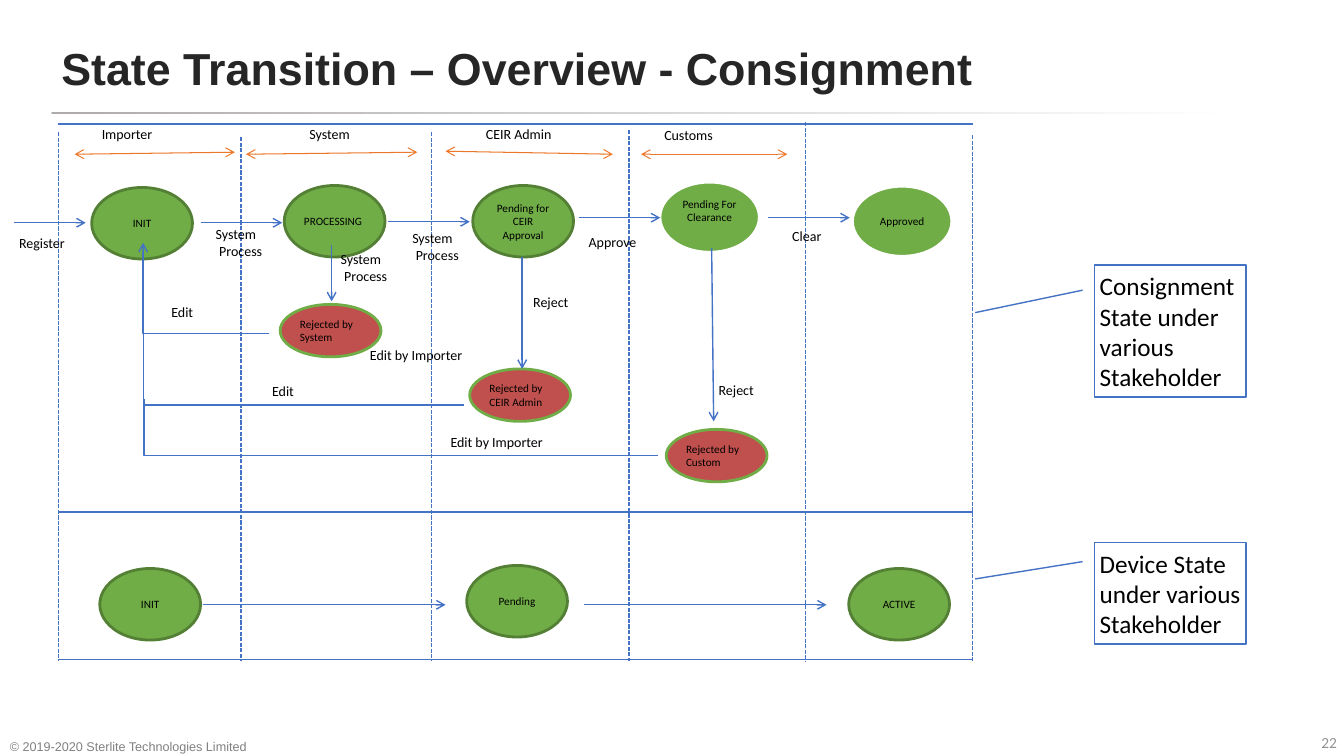
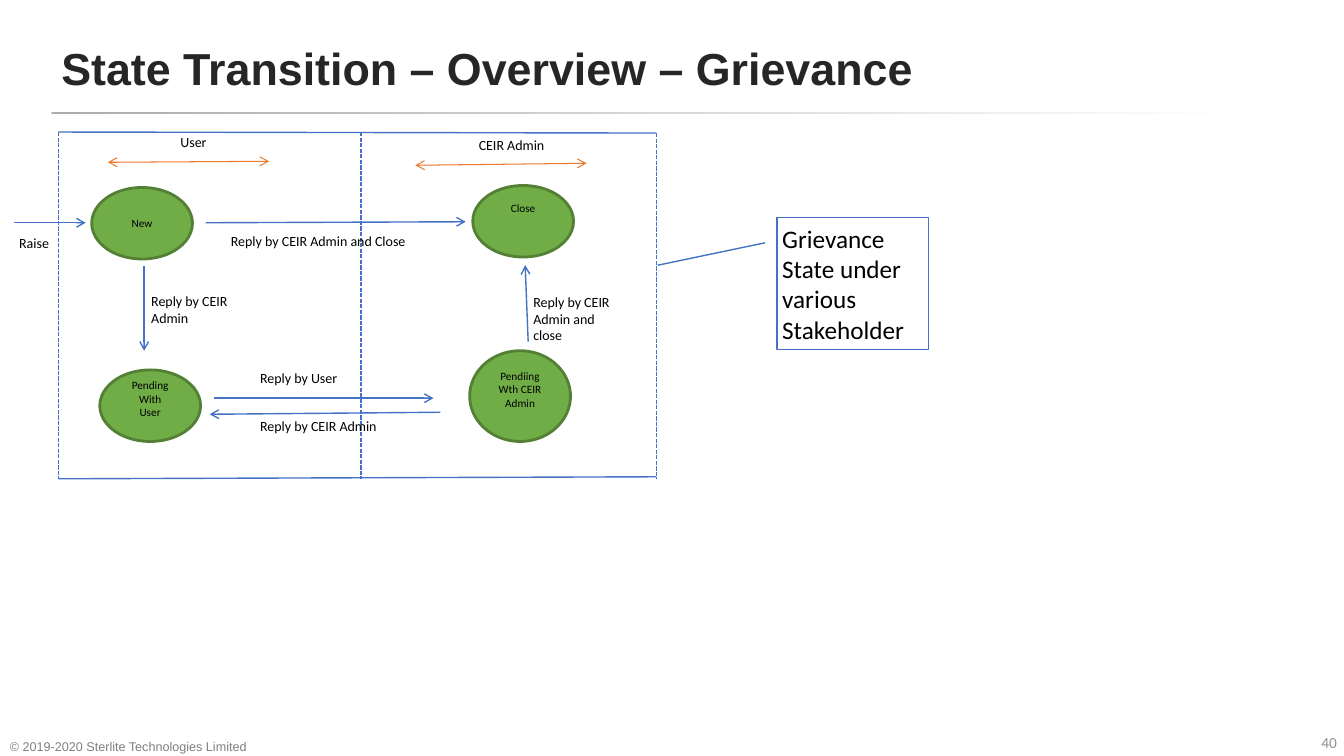
"""Build two state transition slides on a grid of tenth-inch cells."""
from dataclasses import dataclass
from typing import Any

import pptx
import pptx.dml.color
import pptx.enum.dml
import pptx.enum.shapes
import pptx.enum.text
import pptx.oxml.ns
import pptx.shapes.autoshape
import pptx.slide
import pptx.text.text
import pptx.util
from lxml import etree

COLUMNS, ROWS = 133.33, 75
GREEN, DARK_GREEN, RED = "70AD47", "538035", "C0504D"
BLUE, ORANGE = "4472C4", "EC792B"
WHITE, BLACK, TITLE_GREY, FOOTER_GREY, NUMBER_GREY, RULE_GREY = (
    "FFFFFF", "000000", "262626", "808080", "929292", "AFABAB")
FOOTER = "© 2019-2020 Sterlite Technologies Limited"
SHAPE = pptx.enum.shapes.MSO_SHAPE
CONNECTOR = pptx.enum.shapes.MSO_CONNECTOR
ALIGN = pptx.enum.text.PP_ALIGN
ANCHOR = pptx.enum.text.MSO_ANCHOR


@dataclass(frozen=True)
class Style:
    size: float
    colour: str = BLACK
    font: str = "Calibri"
    bold: bool = False
    align: Any = ALIGN.LEFT
    anchor: Any = ANCHOR.TOP
    insets: tuple[float, float, float, float] = (0.5, 0.5, 0.5, 0.5)


@dataclass(frozen=True)
class Stroke:
    colour: str = BLUE
    width: float = 1
    dashed: bool = False
    ends: tuple[str, ...] = ()


@dataclass(frozen=True)
class Edge:
    x1: float
    y1: float
    x2: float
    y2: float
    stroke: Stroke
    bend: float | None = None


@dataclass(frozen=True)
class State:
    text: str
    left: float
    top: float
    height: float = 7.1
    fill: str = GREEN
    outline: str = DARK_GREEN
    weight: float = 2
    align: Any = ALIGN.CENTER
    lift: float = 0


@dataclass(frozen=True)
class Label:
    text: str
    left: float
    top: float
    width: float = 12.6
    align: Any = ALIGN.LEFT


@dataclass(frozen=True)
class Callout:
    text: str
    left: float
    top: float
    height: float


@dataclass(frozen=True)
class Diagram:
    title: str
    number: str
    states: list[State]
    edges: list[Edge]
    labels: list[Label]
    callouts: list[Callout]


PLAIN, DASHED = Stroke(), Stroke(dashed=True)
FLOW = Stroke(ends=("tailEnd",))
SPAN = Stroke(ORANGE, 0.75, ends=("headEnd", "tailEnd"))
TITLE = Style(32, TITLE_GREY, "Arial", True, anchor=ANCHOR.MIDDLE, insets=(1, 0.5, 1, 0.5))
FOOT = Style(9, FOOTER_GREY, "Arial", anchor=ANCHOR.BOTTOM, insets=(1, 0, 1, 0.2))
NUMBER = Style(11, NUMBER_GREY, align=ALIGN.RIGHT)
CALLOUT = Style(18, anchor=ANCHOR.MIDDLE)


def cells(count: float) -> int:
    return pptx.util.Inches(count / 10)


def colour(code: str) -> pptx.dml.color.RGBColor:
    return pptx.dml.color.RGBColor.from_string(code)


def assign(target: Any, values: dict[str, Any]) -> None:
    for name, value in values.items():
        setattr(target, name, value)


def write(frame: pptx.text.text.TextFrame, text: str, style: Style) -> None:
    left, top, right, bottom = map(cells, style.insets)
    assign(frame, {"word_wrap": True, "vertical_anchor": style.anchor,
                   "margin_left": left, "margin_top": top,
                   "margin_right": right, "margin_bottom": bottom})
    for index, line in enumerate(text.split("\n")):
        para = frame.add_paragraph() if index else frame.paragraphs[0]
        para.alignment = style.align
        if line == "Process":
            para._p.get_or_add_pPr().set("marL", str(cells(0.35)))
        span = para.add_run()
        span.text = line
        assign(span.font, {"size": pptx.util.Pt(style.size), "name": style.font,
                           "bold": style.bold})
        span.font.color.rgb = colour(style.colour)


def add_text(page: pptx.slide.Slide, text: str, left: float, top: float,
             width: float, height: float, style: Style) -> None:
    box = page.shapes.add_textbox(*map(cells, (left, top, width, height)))
    write(box.text_frame, text, style)


def add_box(page: pptx.slide.Slide, kind: Any, left: float, top: float, width: float,
            height: float, fill: str, outline: str,
            weight: float) -> pptx.shapes.autoshape.Shape:
    box = page.shapes.add_shape(kind, *map(cells, (left, top, width, height)))
    box.shadow.inherit = False
    box.fill.solid()
    box.fill.fore_color.rgb = colour(fill)
    box.line.color.rgb = colour(outline)
    box.line.width = pptx.util.Pt(weight)
    return box


def draw_state(page: pptx.slide.Slide, state: State) -> None:
    box = add_box(page, SHAPE.OVAL, state.left, state.top, 10, state.height,
                  state.fill, state.outline, state.weight)
    write(box.text_frame, state.text, Style(
        8, align=state.align, anchor=ANCHOR.MIDDLE, insets=(0.5, 0, 0.5, state.lift)))


def draw_edge(page: pptx.slide.Slide, edge: Edge) -> None:
    kind = CONNECTOR.STRAIGHT if edge.bend is None else CONNECTOR.ELBOW
    link = page.shapes.add_connector(
        kind, *map(cells, (edge.x1, edge.y1, edge.x2, edge.y2)))
    link.line.color.rgb = colour(edge.stroke.colour)
    link.line.width = pptx.util.Pt(edge.stroke.width)
    if edge.stroke.dashed:
        link.line.dash_style = pptx.enum.dml.MSO_LINE.SQUARE_DOT
    qn = pptx.oxml.ns.qn
    props = link.element.spPr
    for end in edge.stroke.ends:
        etree.SubElement(props.find(qn("a:ln")), qn(f"a:{end}"), type="arrow")
    etree.SubElement(props, qn("a:effectLst"))
    if edge.bend is not None:
        guides = props.find(qn("a:prstGeom")).find(qn("a:avLst"))
        etree.SubElement(guides, qn("a:gd"), name="adj1",
                         fmla=f"val {round(edge.bend * 100000)}")


def draw_callout(page: pptx.slide.Slide, note: Callout) -> None:
    box = add_box(page, SHAPE.LINE_CALLOUT_1, note.left, note.top, 15, note.height,
                  WHITE, BLUE, 1)
    for index, share in enumerate((0.19, -0.08, 0.36, -0.79)):
        box.adjustments[index] = share
    write(box.text_frame, note.text, CALLOUT)


def draw_frame(page: pptx.slide.Slide, title: str, number: str) -> None:
    rule = add_box(page, SHAPE.ROUNDED_RECTANGLE, 5.1, 11.1, 123.1, 0.25, RULE_GREY, WHITE, 0)
    rule.adjustments[0] = 0.5
    rule.line.fill.background()
    rule.fill.gradient()
    rule.fill.gradient_angle = 0
    for stop, code, position in zip(rule.fill.gradient_stops, (RULE_GREY, WHITE), (0, 0.96)):
        stop.color.rgb = colour(code)
        stop.position = position
    add_text(page, title, 5.1, 2.3, 99.2, 8.8, TITLE)
    add_text(page, number, COLUMNS - 5.2, 72.2, 5, 2.5, NUMBER)
    add_text(page, FOOTER, 0, 72.2, 30.3, ROWS - 72.2, FOOT)


def draw_diagram(page: pptx.slide.Slide, diagram: Diagram) -> None:
    draw_frame(page, diagram.title, diagram.number)
    for state in diagram.states:
        draw_state(page, state)
    for edge in diagram.edges:
        draw_edge(page, edge)
    for label in diagram.labels:
        add_text(page, label.text, label.left, label.top, label.width, 2.7,
                 Style(10, align=label.align))
    for note in diagram.callouts:
        draw_callout(page, note)


def lanes(bottom: float, tops: dict[float, float]) -> list[Edge]:
    return [Edge(x, top, x, bottom, DASHED) for x, top in tops.items()]


def flows(row: float, length: float, *starts: float) -> list[Edge]:
    return [Edge(x, row, x + length, row, FLOW) for x in starts]


def rejected(text: str, left: float, top: float) -> State:
    return State(text, left, top, 5.2, RED, GREEN, align=ALIGN.LEFT)


CONSIGNMENT = Diagram(
    "State Transition – Overview - Consignment", "22",
    [State("INIT", 9.1, 18.6),
     State("PROCESSING", 28.2, 18.4, align=ALIGN.LEFT),
     State("Pending for CEIR Approval", 46.9, 18.4),
     State("Pending For Clearance", 65.4, 18, outline=WHITE, weight=3, lift=1.36),
     State("Approved", 84.5, 18.4, outline=WHITE, weight=3),
     rejected("Rejected by System", 27.8, 30.2),
     rejected("Rejected by\nCEIR Admin", 46.6, 36.6),
     rejected("Rejected by\nCustom", 66.1, 42.6),
     State("INIT", 9.9, 56.4), State("Pending", 46.3, 56.1), State("ACTIVE", 84.2, 56.4)],
    lanes(65.6, {5.8: 13.1, 23.9: 13.6, 42.8: 13.1, 62.4: 12.9, 79.9: 12.1, 96.5: 13.4})
    + [Edge(5.8, row, 96.5, row, PLAIN) for row in (12.3, 50.8, 65.4)]
    + flows(22.1, 7.1, 1.4) + flows(22.1, 8.1, 19.9) + flows(22, 8.1, 38.5)
    + flows(21.6, 8.1, 57.4, 76.2) + flows(60, 24.1, 20.1, 57.9)
    + [Edge(32.9, 24.3, 32.9, 29.9, FLOW),
       Edge(51.8, 25.5, 51.8, 36.6, FLOW),
       Edge(70.6, 24.6, 70.8, 41.8, FLOW),
       Edge(26.7, 33.1, 14.2, 24.1, FLOW, 1),
       Edge(46, 40.2, 14.4, 33.1, PLAIN, 1.005),
       Edge(65.3, 45.2, 14.4, 39.7, PLAIN, 1.002),
       Edge(7.4, 15.3, 23.3, 15.1, SPAN), Edge(24.4, 15.3, 41.4, 15.1, SPAN),
       Edge(44.2, 15, 60.8, 15.3, SPAN), Edge(63.6, 15.3, 78.1, 15.3, SPAN)],
    [Label("Importer", 9.6, 12), Label("System", 30.2, 12),
     Label("CEIR Admin", 47.7, 12), Label("Customs", 65.4, 12.1),
     Label("Register", 1.4, 22.8), Label("System\nProcess", 20.9, 21.9),
     Label("System\nProcess", 33.3, 24.4), Label("System\nProcess", 40.4, 22.3),
     Label("Approve", 57.9, 22.7), Label("Clear", 78.1, 22.1),
     Label("Reject", 52.4, 28.6), Label("Reject", 70.8, 37.4),
     Label("Edit", 16.5, 29.6), Label("Edit", 26.5, 37.5),
     Label("Edit by Importer", 36.2, 33.9), Label("Edit by Importer", 44.2, 42.5)],
    [Callout("Consignment State under various Stakeholder", 108.6, 26.3, 13.1),
     Callout("Device State under various Stakeholder", 108.6, 53.8, 10.1)])

GRIEVANCE = Diagram(
    "State Transition – Overview – Grievance", "40",
    [State("New", 9.1, 18.6), State("Close", 46.9, 18.4, lift=2.7),
     State("Pendiing\nWth CEIR Admin", 46.6, 34.8, 9, lift=1.36),
     State("Pending With\nUser", 9.9, 36.7, lift=1.36)],
    lanes(47.5, {5.8: 13.1, 35.8: 13.1, 65.1: 13.2})
    + flows(22.1, 7.1, 1.4) + flows(39.5, 21.8, 21.2)
    + [Edge(5.8, 13.1, 65.1, 13.2, PLAIN), Edge(5.8, 47.5, 65.1, 47.3, PLAIN),
       Edge(20.4, 22.1, 46.2, 22, FLOW), Edge(14.3, 26.4, 14.3, 34.8, FLOW),
       Edge(43.7, 40.9, 20.8, 41.1, FLOW), Edge(52.4, 33.9, 52.1, 26.3, FLOW),
       Edge(41.2, 16.4, 58.2, 16.2, SPAN), Edge(10.7, 16.1, 26.7, 16, SPAN)],
    [Label("User", 12.9, 12.8, align=ALIGN.CENTER), Label("CEIR Admin", 47, 13.1),
     Label("Raise", 1.4, 22.8), Label("Reply by CEIR Admin and Close", 22.4, 22.6, 21.8),
     Label("Reply by CEIR Admin", 14.5, 28.5, 10.8),
     Label("Reply by CEIR Admin and close", 52.4, 28.6, 9.5),
     Label("Reply by User", 25.3, 36.2, 13.7),
     Label("Reply by CEIR Admin", 25.3, 40.9, 13.7)],
    [Callout("Grievance State under various Stakeholder", 77.1, 21.6, 13.1)])


def main() -> None:
    deck = pptx.Presentation()
    assign(deck, {"slide_width": cells(COLUMNS), "slide_height": cells(ROWS)})
    for diagram in (CONSIGNMENT, GRIEVANCE):
        draw_diagram(deck.slides.add_slide(deck.slide_layouts[6]), diagram)
    deck.save("out.pptx")


if __name__ == "__main__":
    main()
